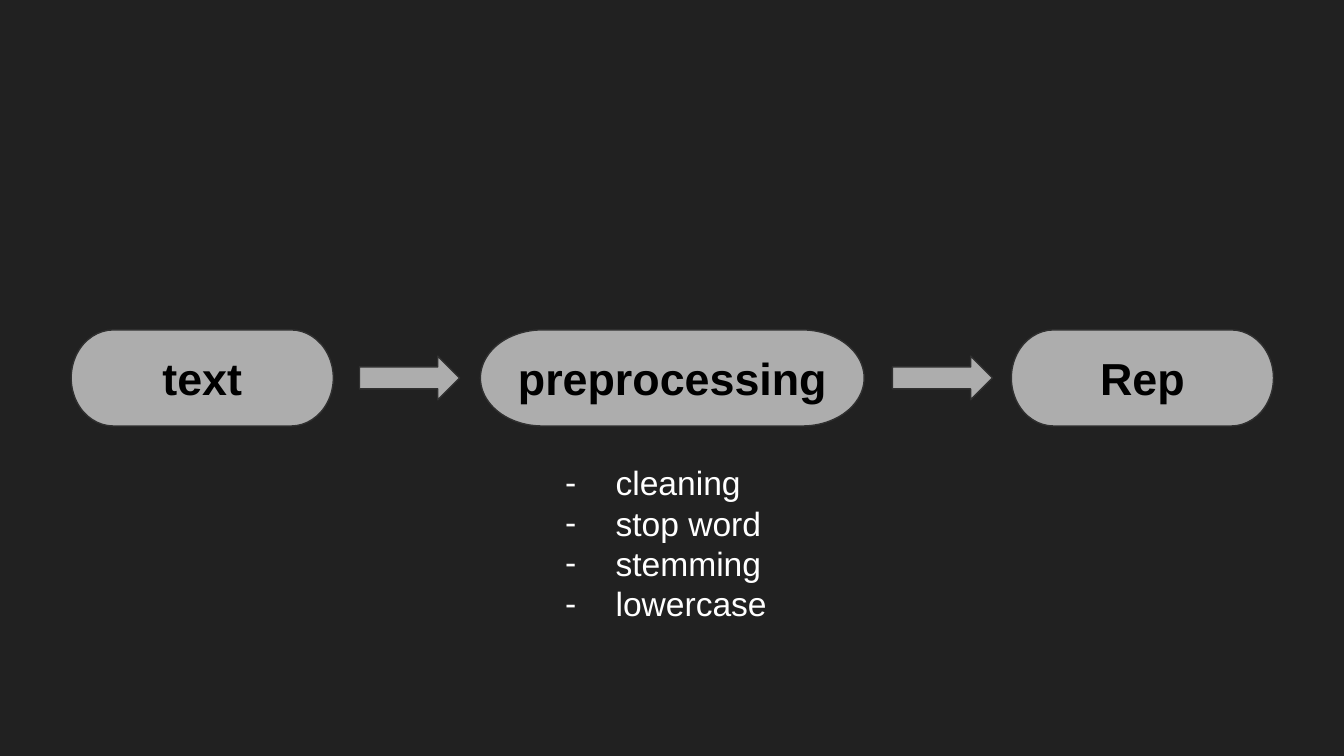
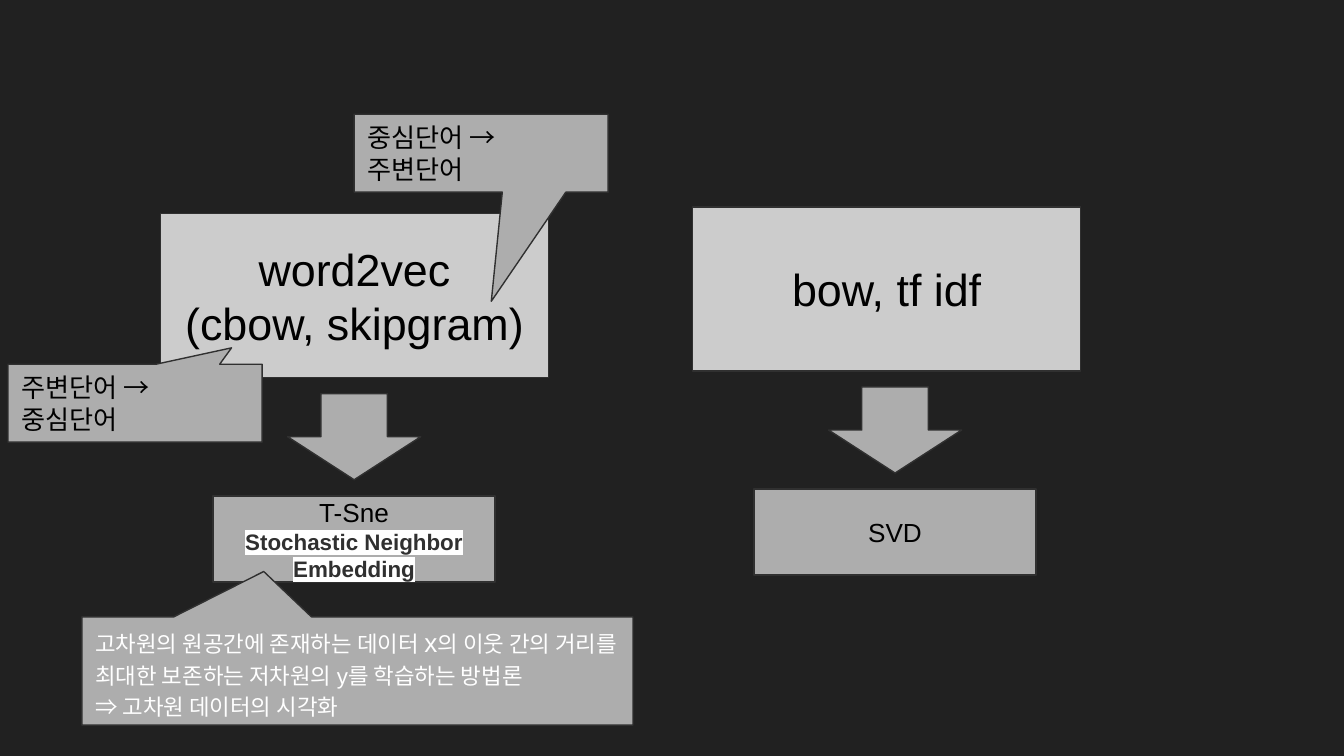
import dataclasses

import lxml.etree
import pptx
import pptx.dml.color
import pptx.enum.shapes
import pptx.enum.text
import pptx.oxml.ns
import pptx.util

PX = pptx.util.Inches(1) // 200
PRESET = pptx.enum.shapes.MSO_SHAPE
ALIGN = pptx.enum.text.PP_ALIGN
ANCHOR = pptx.enum.text.MSO_ANCHOR
rgb = pptx.dml.color.RGBColor.from_string
qn = pptx.oxml.ns.qn


@dataclasses.dataclass(frozen=True)
class Theme:
    font: str = "Arial"
    background: str = "212121"
    box: str = "ADADAD"
    light_box: str = "CCCCCC"
    outline: str = "303030"
    dark_text: str = "000000"
    light_text: str = "FFFFFF"
    heading: int = 24
    bullet: int = 18
    label: int = 14
    note: int = 12


theme = Theme()
STEP = {"size": theme.heading, "bold": True}
MODEL = {"size": theme.heading}
LABEL = {"size": theme.label}
TERM = {"size": theme.note, "bold": True, "color": theme.outline, "highlight": theme.light_text}
NOTE = {"size": theme.note, "color": theme.light_text}
NOTE_SYMBOL = {"size": theme.label, "color": theme.light_text}
BULLET = {"size": theme.bullet, "color": theme.light_text}


def write(text_frame, paragraphs, align, anchor, line_spacing=None):
    """Fill a text frame from paragraphs, each a list of (text, style) runs."""
    frame_format = {"word_wrap": True, "vertical_anchor": anchor,
                    "auto_size": pptx.enum.text.MSO_AUTO_SIZE.NONE}
    for side in ("left", "top", "right", "bottom"):
        frame_format[f"margin_{side}"] = 20 * PX
    for name, value in frame_format.items():
        setattr(text_frame, name, value)
    for index, runs in enumerate(paragraphs):
        paragraph = text_frame.add_paragraph() if index else text_frame.paragraphs[0]
        paragraph_format = {"alignment": align, "line_spacing": line_spacing,
                            "space_before": pptx.util.Pt(0)}
        for name, value in paragraph_format.items():
            setattr(paragraph, name, value)
        for text, style in runs:
            run = paragraph.add_run()
            run.text = text
            run.font.color.rgb = rgb(style.get("color", theme.dark_text))
            font_format = {"name": theme.font, "size": pptx.util.Pt(style["size"]),
                           "bold": style.get("bold", False)}
            for name, value in font_format.items():
                setattr(run.font, name, value)
            if "highlight" in style:
                highlight = lxml.etree.Element(qn("a:highlight"))
                lxml.etree.SubElement(highlight, qn("a:srgbClr"), val=style["highlight"])
                run._r.rPr.find(qn("a:latin")).addprevious(highlight)


def add_box(slide, preset, place, paragraphs=(), fill=theme.box, align=ALIGN.CENTER,
            adjustments=(), line_spacing=None):
    shape = slide.shapes.add_shape(preset, *(length * PX for length in place))
    shape.shadow.inherit = False
    shape.fill.solid()
    shape.fill.fore_color.rgb = rgb(fill)
    shape.line.color.rgb = rgb(theme.outline)
    shape.line.width = pptx.util.Pt(0.75)
    for index, value in enumerate(adjustments):
        shape.adjustments[index] = value
    if paragraphs:
        write(shape.text_frame, paragraphs, align, ANCHOR.MIDDLE, line_spacing)


presentation = pptx.Presentation()
presentation.slide_width = 2000 * PX
presentation.slide_height = 1125 * PX
background = presentation.slide_master.background.fill
background.solid()
background.fore_color.rgb = rgb(theme.background)
list_layout = presentation.slide_layouts[1]
blank_layout = presentation.slide_layouts[6]

# Slide 1: text pipeline
slide = presentation.slides.add_slide(list_layout)
title = slide.shapes.title
title.element.getparent().remove(title.element)

for text, left, width in (("text", 106, 390), ("preprocessing", 715, 571), ("Rep", 1505, 390)):
    add_box(slide, PRESET.FLOWCHART_TERMINATOR, (left, 491, width, 143), [[(text, STEP)]])
for left in (535, 1328):
    add_box(slide, PRESET.RIGHT_ARROW, (left, 530, 149, 65))

tasks = slide.placeholders[1]
for name, value in {"left": 796, "top": 668, "width": 410, "height": 276}.items():
    setattr(tasks, name, value * PX)
write(tasks.text_frame,
      [[(text, BULLET)] for text in ("cleaning", "stop word", "stemming", "lowercase")],
      ALIGN.LEFT, ANCHOR.TOP)
for paragraph in tasks.text_frame.paragraphs:
    properties = paragraph._p.get_or_add_pPr()
    properties.set("marL", str(100 * PX))
    properties.set("indent", str(-75 * PX))
    bullet_color = lxml.etree.SubElement(properties, qn("a:buClr"))
    lxml.etree.SubElement(bullet_color, qn("a:srgbClr"), val=theme.light_text)
    lxml.etree.SubElement(properties, qn("a:buFont"), typeface=theme.font)
    lxml.etree.SubElement(properties, qn("a:buChar"), char="-")

# Slide 2: representations and their reductions
slide = presentation.slides.add_slide(blank_layout)
branches = (
    (1031, 308, 1122, [[("bow, tf idf", MODEL)]], [[("SVD", LABEL)]]),
    (239, 318, 317, [[("word2vec", MODEL)], [("(cbow, skipgram)", MODEL)]],
     [[("T-Sne", LABEL)], [("Stochastic Neighbor Embedding", TERM)]]),
)
for left, top, reduction_left, model, reduction in branches:
    add_box(slide, PRESET.RECTANGLE, (left, top, 577, 244), model, theme.light_box)
    add_box(slide, PRESET.DOWN_ARROW, (reduction_left + 111, top + 268, 198, 128))
    add_box(slide, PRESET.RECTANGLE, (reduction_left, top + 420, 420, 128), reduction)

explanation = [
    [("고차원의 원공간에 존재하는 데이터 ", NOTE), ("x", NOTE_SYMBOL),
     ("의 이웃 간의 거리를 최대한 보존하는 저차원의 y를 학습하는 방법론", NOTE)],
    [("⇒ 고차원 데이터의 시각화", NOTE)],
]
callouts = (
    ((12, 542, 378, 116), (0.38, -0.71), [[("주변단어 → 중심단어", LABEL)]], None),
    ((527, 170, 378, 116), (0.04, 1.9), [[("중심단어 → 주변단어", LABEL)]], None),
    ((122, 918, 820, 161), (-0.17, -0.92), explanation, 1.15),
)
for place, pointer, paragraphs, line_spacing in callouts:
    add_box(slide, PRESET.RECTANGULAR_CALLOUT, place, paragraphs, align=ALIGN.LEFT,
            adjustments=pointer, line_spacing=line_spacing)

presentation.save("out.pptx")
